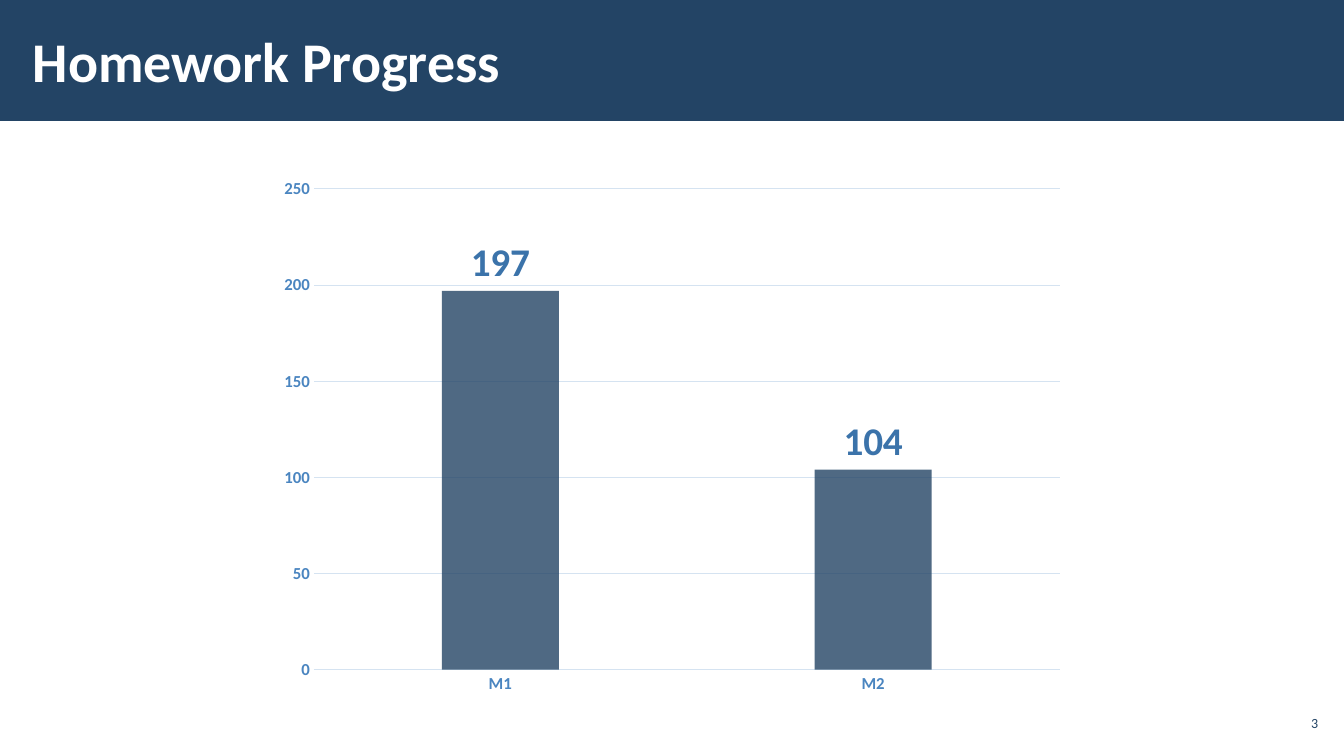
from lxml import etree
from pptx import Presentation
from pptx.chart.data import CategoryChartData
from pptx.dml.color import RGBColor
from pptx.enum import chart as kinds, shapes, text
from pptx.oxml import ns
from pptx.util import Cm, Pt

NAVY = RGBColor(0x23, 0x44, 0x65)
BLUE = RGBColor(0x3B, 0x73, 0xAA)
SKY = RGBColor(0x4A, 0x85, 0xC0)
PALE = RGBColor(0xD5, 0xE3, 0xF1)
WHITE = RGBColor(0xFF, 0xFF, 0xFF)
TYPEFACE = "Calibri"


def style_font(font, size, color, bold=False):
    font.name = TYPEFACE
    font.size = Pt(size)
    font.bold = bold
    font.color.rgb = color


def write(box, words, *, size, color, bold=False,
          align=text.PP_ALIGN.LEFT, side=0.1):
    """Fill a box with one vertically centred line; side is its inset in cm."""
    frame = box.text_frame
    frame.word_wrap = True
    frame.auto_size = text.MSO_AUTO_SIZE.NONE
    frame.vertical_anchor = text.MSO_ANCHOR.MIDDLE
    frame.margin_left = frame.margin_right = Cm(side)
    frame.margin_top = frame.margin_bottom = Cm(0.1)
    para = frame.paragraphs[0]
    para.alignment = align
    span = para.add_run()
    span.text = words
    style_font(span.font, size, color, bold)


def add_title(page, words, width):
    title = page.shapes.title
    title.left, title.top = Cm(0.53), Cm(0.28)
    title.width, title.height = Cm(27), Cm(2.46)
    write(title, words, size=40, color=WHITE, bold=True, side=0.3)

    band = page.shapes.add_shape(
        shapes.MSO_SHAPE.RECTANGLE, 0, 0, width, Cm(3.05))
    band.shadow.inherit = False
    band.fill.solid()
    band.fill.fore_color.rgb = NAVY
    band.line.fill.background()
    title.element.addprevious(band.element)  # keep the band behind the title


def add_page_number(page, number):
    box = page.shapes.add_textbox(Cm(32.13), Cm(17.78), Cm(1.19), Cm(0.86))
    write(box, number, size=10, color=NAVY, align=text.PP_ALIGN.RIGHT)


def style_axis(axis):
    axis.major_tick_mark = axis.minor_tick_mark = kinds.XL_TICK_MARK.NONE
    style_font(axis.tick_labels.font, 12, SKY, bold=True)


def style_line(line):
    line.color.rgb = PALE
    line.width = Pt(0.75)


def style_bars(plot):
    plot.gap_width = 219
    plot.overlap = -27
    plot.vary_by_categories = False
    series = plot.series[0]
    fill = series.format.fill
    fill.solid()
    fill.fore_color.rgb = NAVY
    shade = next(series.format.element.iter(ns.qn("a:srgbClr")), None) \
        if hasattr(series.format, "element") else \
        plot.series[0].points and next(
            plot.series[0].data_labels and iter([]), None)
    if shade is None:
        shade = next(series.element.iter(ns.qn("a:srgbClr")))
    etree.SubElement(shade, ns.qn("a:alpha"), val="80000")

    labels = series.data_labels
    labels.show_value = True
    labels.position = kinds.XL_LABEL_POSITION.OUTSIDE_END
    style_font(labels.font, 28, BLUE, bold=True)


def add_progress_chart(page, counts):
    data = CategoryChartData()
    data.categories = list(counts)
    data.add_series("Series 1", list(counts.values()))
    chart = page.shapes.add_chart(
        kinds.XL_CHART_TYPE.COLUMN_CLUSTERED,
        Cm(6.76), Cm(4.24), Cm(20.35), Cm(13.51), data).chart
    chart.has_title = chart.has_legend = False
    style_font(chart.font, 10, NAVY)
    style_axis(chart.category_axis)
    style_line(chart.category_axis.format.line)

    values = chart.value_axis
    style_axis(values)
    values.minimum_scale, values.maximum_scale = 0, 250
    values.major_unit = 50
    values.format.line.fill.background()
    style_line(values.major_gridlines.format.line)
    style_bars(chart.plots[0])


def main():
    deck = Presentation()
    deck.slide_width, deck.slide_height = Cm(33.87), Cm(19.05)
    page = deck.slides.add_slide(deck.slide_layouts[5])
    add_title(page, "Homework Progress", deck.slide_width)
    add_progress_chart(page, {"M1": 197, "M2": 104})
    add_page_number(page, "3")
    deck.save("out.pptx")


if __name__ == "__main__":
    main()
